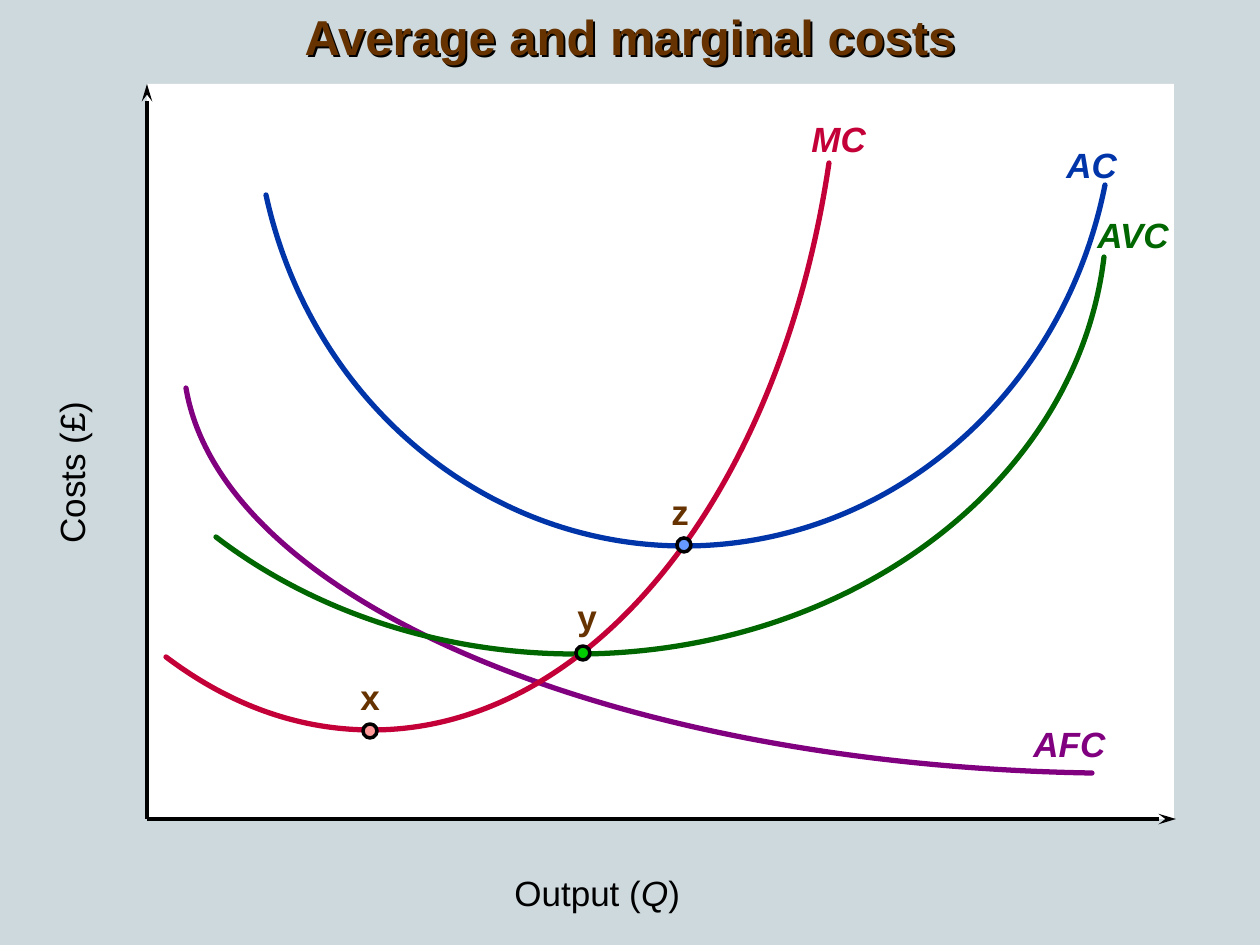
from dataclasses import dataclass

import pptx
import pptx.dml.color
import pptx.enum.shapes
import pptx.enum.text
import pptx.oxml
import pptx.oxml.ns
import pptx.util

EMU_PER_PX = 914400 / 126
FONT = "Arial"
BLACK, BROWN = "000000", "663300"
DRAWING_NS = pptx.oxml.ns.nsdecls("a")
LABEL_HEIGHT = 54
DOT_SIZE = 14

Point = tuple[int, int]


@dataclass
class Label:
    text: str
    left: int
    top: int
    width: int
    color: str = BLACK
    bold: bool = False
    italic: bool = False
    rotation: int = 0


@dataclass
class Curve:
    """A start point followed by three Bezier points per segment."""
    points: list[Point]
    label: Label


@dataclass
class Crossing:
    center: Point
    fill: str
    label: Label


def px(value: float) -> int:
    return round(value * EMU_PER_PX)


def rgb(color: str) -> pptx.dml.color.RGBColor:
    return pptx.dml.color.RGBColor.from_string(color)


def format_font(font, size: int, color: str, **values) -> None:
    values = {"name": FONT, "size": pptx.util.Pt(size), **values}
    font.color.rgb = rgb(color)
    for name, value in values.items():
        setattr(font, name, value)


def format_line(line, color: str, points: float) -> None:
    line.color.rgb = rgb(color)
    line.width = pptx.util.Pt(points)


def add_label(page, label: Label) -> None:
    box = page.shapes.add_textbox(px(label.left), px(label.top),
                                  px(label.width), px(LABEL_HEIGHT))
    box.rotation = label.rotation
    box.text_frame.word_wrap = False
    para = box.text_frame.paragraphs[0]
    # Text between asterisks takes the opposite slant
    for index, part in enumerate(label.text.split("*")):
        span = para.add_run()
        span.text = part
        format_font(span.font, 20, label.color, bold=label.bold,
                    italic=label.italic != (index % 2 == 1))


def add_axis(page, start: Point, end: Point) -> None:
    axis = page.shapes.add_connector(
        pptx.enum.shapes.MSO_CONNECTOR.STRAIGHT, *map(px, start + end))
    format_line(axis.line, BLACK, 2)
    axis.line._get_or_add_ln().append(pptx.oxml.parse_xml(
        f'<a:tailEnd {DRAWING_NS} type="stealth" w="med" len="lg"/>'))
    axis._element.spPr.append(pptx.oxml.parse_xml(f"<a:effectLst {DRAWING_NS}/>"))


def bend_segments(shape) -> None:
    """Turn each three straight segments of a freeform into one Bezier segment."""
    lines = list(shape._element.iter(pptx.oxml.ns.qn("a:lnTo")))
    for first in range(0, len(lines), 3):
        bezier = pptx.oxml.parse_xml(f"<a:cubicBezTo {DRAWING_NS}/>")
        lines[first].addprevious(bezier)
        for line in lines[first:first + 3]:
            bezier.append(line[0])
            line.getparent().remove(line)


def add_curve(page, curve: Curve) -> None:
    start, *others = curve.points
    builder = page.shapes.build_freeform(*start, scale=EMU_PER_PX)
    builder.add_line_segments(others, close=False)
    shape = builder.convert_to_shape()
    bend_segments(shape)
    shape.shadow.inherit = False
    shape.fill.background()
    format_line(shape.line, curve.label.color, 3)
    shape.line._get_or_add_ln().set("cap", "rnd")
    add_label(page, curve.label)


def add_crossing(page, crossing: Crossing) -> None:
    x, y = crossing.center
    dot = page.shapes.add_shape(
        pptx.enum.shapes.MSO_SHAPE.OVAL, px(x - DOT_SIZE / 2),
        px(y - DOT_SIZE / 2), px(DOT_SIZE), px(DOT_SIZE))
    dot.shadow.inherit = False
    dot.fill.solid()
    dot.fill.fore_color.rgb = rgb(crossing.fill)
    format_line(dot.line, BLACK, 2)
    add_label(page, crossing.label)


def add_title(page, text: str) -> None:
    title = page.shapes.title
    place = {"left": 0, "top": 0, "width": px(1260), "height": px(72)}
    for name, value in place.items():
        setattr(title, name, value)
    frame = title.text_frame
    frame.auto_size = pptx.enum.text.MSO_AUTO_SIZE.NONE
    frame.vertical_anchor = pptx.enum.text.MSO_ANCHOR.TOP
    para = frame.paragraphs[0]
    para.alignment = pptx.enum.text.PP_ALIGN.CENTER
    span = para.add_run()
    span.text = text
    format_font(span.font, 28, BROWN, bold=True)
    # The unfilled box casts its shadow from the letters
    title.fill.background()
    title._element.spPr.append(pptx.oxml.parse_xml(
        f'<a:effectLst {DRAWING_NS}><a:outerShdw dist="20000" dir="2700000">'
        f'<a:srgbClr val="{BLACK}"/></a:outerShdw></a:effectLst>'))


ORIGIN = (147, 819)
AXIS_TOP = (147, 84)
AXIS_RIGHT = (1176, 819)

AXIS_LABELS = [
    Label("Output (*Q*)", 502, 865, 192),
    Label("Costs (£)", -13, 445, 168, rotation=270),
]

CURVES = [
    Curve([(1092, 773), (612, 765), (222, 600), (186, 388)],
          Label("AFC", 1021, 716, 97, "800080", True, True)),
    Curve([(1104, 257), (1077, 483), (849, 654), (576, 654),
           (442, 654), (314, 612), (216, 537)],
          Label("AVC", 1085, 207, 100, "006600", True, True)),
    Curve([(829, 163), (780, 495), (591, 730), (372, 730),
           (300, 730), (231, 706), (166, 657)],
          Label("MC", 799, 111, 81, "C40038", True, True)),
    Curve([(1105, 185), (1063, 396), (888, 546), (684, 546),
           (485, 546), (311, 401), (266, 195)],
          Label("AC", 1054, 137, 76, "0035AA", True, True)),
]

CROSSINGS = [
    Crossing((370, 731), "FF9999", Label("x", 348, 669, 45, BROWN, True)),
    Crossing((684, 545), "6699FF", Label("z", 659, 484, 43, BROWN, True)),
    Crossing((583, 653), "00CC00", Label("y", 565, 589, 45, BROWN, True)),
]


def main() -> None:
    deck = pptx.Presentation()
    deck.slide_width, deck.slide_height = px(1260), px(945)
    page = deck.slides.add_slide(deck.slide_layouts.get_by_name("Title Only"))
    page.background.fill.solid()
    page.background.fill.fore_color.rgb = rgb("CED9DE")
    add_title(page, "Average and marginal costs")

    # Plot area and axes
    plot = page.shapes.add_shape(pptx.enum.shapes.MSO_SHAPE.RECTANGLE,
                                 px(147), px(84), px(1027), px(735))
    plot.shadow.inherit = False
    plot.fill.solid()
    plot.fill.fore_color.rgb = rgb("FFFFFF")
    plot.line.fill.background()
    add_axis(page, ORIGIN, AXIS_TOP)
    add_axis(page, ORIGIN, AXIS_RIGHT)
    for label in AXIS_LABELS:
        add_label(page, label)

    # Cost curves and the points where they meet
    for curve in CURVES:
        add_curve(page, curve)
    for crossing in CROSSINGS:
        add_crossing(page, crossing)
    deck.save("out.pptx")


if __name__ == "__main__":
    main()
